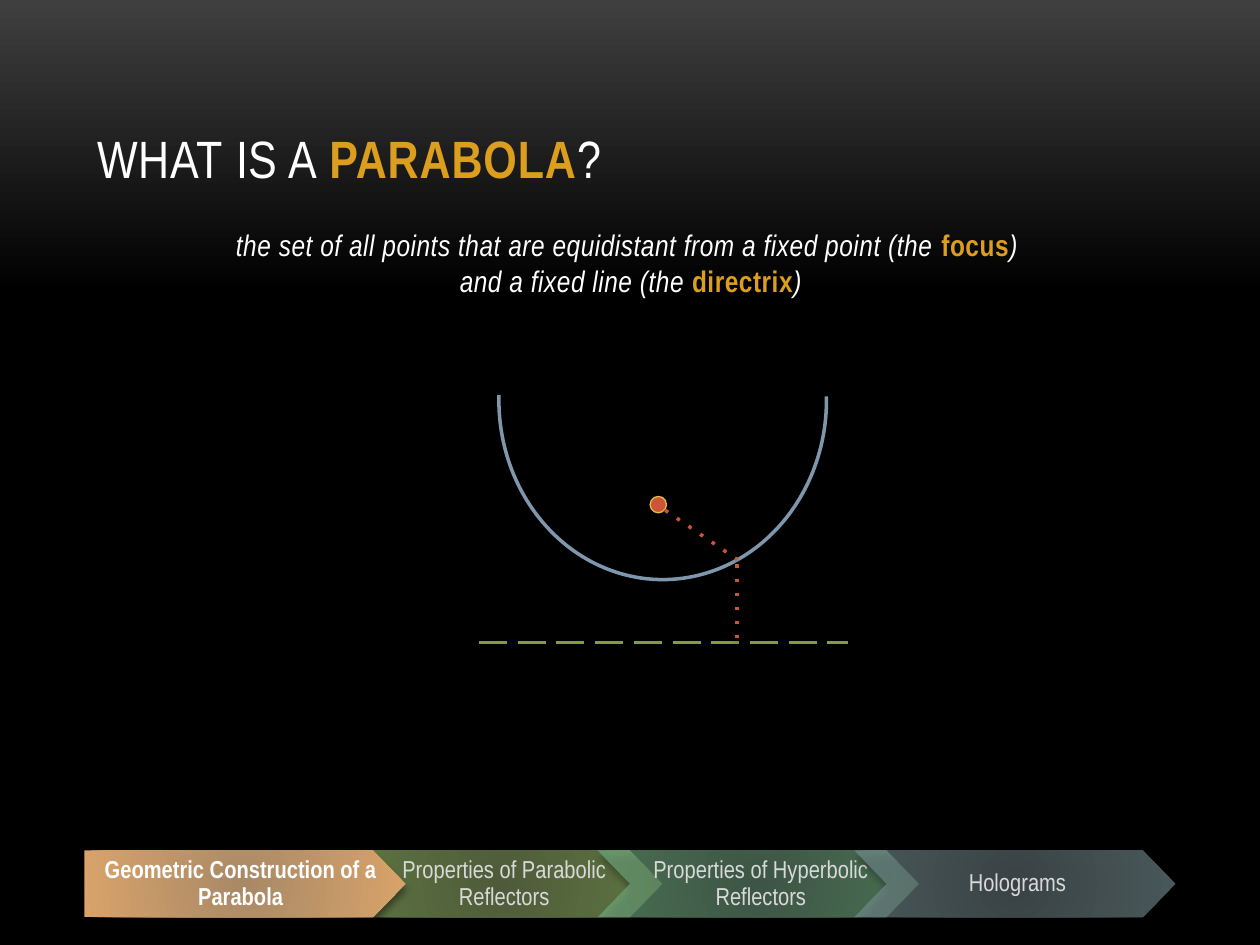
from lxml import etree
from pptx import Presentation
from pptx.dml.color import RGBColor
from pptx.enum.shapes import MSO_CONNECTOR, MSO_SHAPE
from pptx.enum.text import MSO_ANCHOR, MSO_AUTO_SIZE, PP_ALIGN
from pptx.oxml.ns import qn
from pptx.util import Inches, Pt

WHITE = RGBColor(0xFF, 0xFF, 0xFF)
LIGHT_GREY = RGBColor(0xD9, 0xD9, 0xD9)
GOLD = RGBColor(0xDC, 0x9E, 0x1F)
SLATE = RGBColor(0x7E, 0x97, 0xAD)
RED = RGBColor(0xCC, 0x54, 0x39)
YELLOW = RGBColor(0xE7, 0xBA, 0x45)
GREEN = RGBColor(0x83, 0x9C, 0x41)
BLACK = RGBColor(0, 0, 0)
CHARCOAL = RGBColor(0x3F, 0x3F, 0x3F)

# Navigation steps: label, inner colour, outer colour, opacity in percent
STEPS = [
    ("Geometric Construction of a Parabola",
     RGBColor(0xA8, 0x89, 0x66), RGBColor(0xD9, 0xA3, 0x6A), 100),
    ("Properties of Parabolic Reflectors",
     RGBColor(0x82, 0x98, 0x61), RGBColor(0xA0, 0xC6, 0x6D), 60),
    ("Properties of Hyperbolic Reflectors",
     RGBColor(0x60, 0x86, 0x6B), RGBColor(0x73, 0xAF, 0x83), 64),
    ("Holograms",
     RGBColor(0x60, 0x70, 0x73), RGBColor(0x7B, 0x93, 0x97), 60),
]
FIRST_LEFT, LAST_LEFT, STEP_TOP = 0.67, 6.78, 6.75
STEP_WIDTH, STEP_HEIGHT, POINT = 2.55, 0.53, 0.26

LINE_SHADOW = (38, 3.1, 1.6)
FOCUS_SHADOW = (35, 3.1, 1.8)
STEP_SHADOW = (40, 4, 3.4)


def assign(target, values):
    for name, value in values.items():
        setattr(target, name, value)


def child(parent, tag, **attributes):
    element = etree.SubElement(parent, qn(tag))
    for name, value in attributes.items():
        element.set(name, str(value))
    return element


def add_color(parent, color, opacity=100):
    node = child(parent, "a:srgbClr", val=color)
    if opacity < 100:
        child(node, "a:alpha", val=opacity * 1000)


def set_gradient(properties, stops, opacity=100, radial=False):
    """Replace the solid fill in properties by a gradient."""
    gradient = etree.Element(qn("a:gradFill"), rotWithShape="1")
    stop_list = child(gradient, "a:gsLst")
    for position, color in stops:
        add_color(child(stop_list, "a:gs", pos=position * 1000), color, opacity)
    if radial:
        focus = child(gradient, "a:path", path="circle")
        child(focus, "a:fillToRect", **dict.fromkeys("ltrb", 100000))
    else:
        child(gradient, "a:lin", ang=5400000, scaled=0)
    properties.replace(properties.find(qn("a:solidFill")), gradient)


def set_shadow(shape, opacity, blur, distance):
    properties = shape.element.spPr
    effects = child(properties, "a:effectLst")
    shadow = child(effects, "a:outerShdw", blurRad=Pt(blur), dist=Pt(distance),
                   dir=5400000, rotWithShape=0)
    add_color(shadow, BLACK, opacity)


def set_line(shape, color, width, dash=None):
    shape.line.color.rgb = color
    shape.line.width = Pt(width)
    if dash:
        child(shape.element.spPr.find(qn("a:ln")), "a:prstDash", val=dash)


def add_runs(paragraph, runs, size, tracking=0):
    """Write (text, format) runs; a None text breaks the line."""
    for text, values in runs:
        if text is None:
            paragraph.add_line_break()
            continue
        run = paragraph.add_run()
        run.text = text
        style = {"name": "Arial Narrow", "size": Pt(size), "bold": False,
                 "italic": False, **values}
        color = style.pop("color")
        assign(run.font, style)
        run.font.color.rgb = color
        if tracking:
            run.font._element.set("spc", str(int(tracking * 100)))


def set_spacing_percent(paragraph, tag, percent):
    spacing = child(paragraph._p.get_or_add_pPr(), tag)
    child(spacing, "a:spcPct", val=percent * 1000)


def place(shape, left, top, width, height):
    assign(shape, {"left": Inches(left), "top": Inches(top),
                   "width": Inches(width), "height": Inches(height)})


def add_title(slide):
    title = slide.shapes.title
    place(title, 0.67, 0.3, 8.67, 1.25)
    assign(title.text_frame, {"vertical_anchor": MSO_ANCHOR.BOTTOM,
                              "auto_size": MSO_AUTO_SIZE.NONE})
    paragraph = title.text_frame.paragraphs[0]
    paragraph.alignment = PP_ALIGN.LEFT
    add_runs(paragraph, [("WHAT IS A ", {"color": WHITE}),
                         ("PARABOLA", {"color": GOLD, "bold": True}),
                         ("?", {"color": WHITE})], 30, 0.5)


def add_definition(slide):
    body = slide.placeholders[1]
    place(body, 0.67, 1.75, 8.67, 4.5)
    body.text_frame.auto_size = MSO_AUTO_SIZE.NONE
    paragraph = body.text_frame.paragraphs[0]
    paragraph.alignment = PP_ALIGN.CENTER
    set_spacing_percent(paragraph, "a:spcBef", 20)
    paragraph.space_after = Pt(6)
    properties = paragraph._p.get_or_add_pPr()
    properties.set("marL", "0")
    properties.set("indent", "0")
    child(properties, "a:buNone")
    plain = {"color": WHITE, "italic": True}
    term = {"color": GOLD, "bold": True}
    add_runs(paragraph, [
        ("the set of all points that are equidistant from a fixed point (the ", plain),
        ("focus", term), (") ", plain), (None, None),
        ("and a fixed line (the ", plain), ("directrix", term), (")", plain),
    ], 17, 0.3)


def add_step(slide, index):
    label, inner, outer, opacity = STEPS[index]
    current = index == 0
    left = FIRST_LEFT + index * (LAST_LEFT - FIRST_LEFT) / (len(STEPS) - 1)
    right, bottom = left + STEP_WIDTH, STEP_TOP + STEP_HEIGHT
    middle = STEP_TOP + STEP_HEIGHT / 2
    outline = [(right - POINT, STEP_TOP), (right, middle),
               (right - POINT, bottom), (left, bottom)]
    if not current:
        outline.append((left + POINT, middle))
    builder = slide.shapes.build_freeform(Inches(left), Inches(STEP_TOP))
    builder.add_line_segments([(Inches(x), Inches(y)) for x, y in outline])
    step = builder.convert_to_shape()
    step.fill.solid()
    set_gradient(step.element.spPr, [(0, inner), (100, outer)], opacity, radial=True)
    step.line.fill.background()
    set_shadow(step, *STEP_SHADOW)
    frame = step.text_frame
    assign(frame, {"word_wrap": True, "vertical_anchor": MSO_ANCHOR.MIDDLE,
                   "margin_left": Inches(0.08 if current else 0.32),
                   "margin_right": Inches(0.15 if current else 0.28),
                   "margin_top": Inches(0.04), "margin_bottom": Inches(0.04)})
    paragraph = frame.paragraphs[0]
    assign(paragraph, {"alignment": PP_ALIGN.CENTER, "line_spacing": 0.9})
    set_spacing_percent(paragraph, "a:spcAft", 35)
    add_runs(paragraph, [(label, {"color": WHITE if current else LIGHT_GREY,
                                  "bold": current})], 14)


def add_segment(slide, start, end, color, dash):
    segment = slide.shapes.add_connector(
        MSO_CONNECTOR.STRAIGHT, *(Inches(value) for value in start + end))
    set_line(segment, color, 2, dash)
    set_shadow(segment, *LINE_SHADOW)


def add_diagram(slide):
    curve = slide.shapes.add_shape(MSO_SHAPE.ARC, 0, 0, 0, 0)
    place(curve, 3.96, 1.75, 2.6, 2.85)
    curve.adjustments[0], curve.adjustments[1] = 215.219, 109.042
    curve.fill.background()
    set_line(curve, SLATE, 2)
    set_shadow(curve, *LINE_SHADOW)

    focus = slide.shapes.add_shape(MSO_SHAPE.OVAL, 0, 0, 0, 0)
    place(focus, 5.16, 3.94, 0.13, 0.13)
    focus.fill.solid()
    focus.fill.fore_color.rgb = RED
    set_line(focus, YELLOW, 0.75)
    set_shadow(focus, *FOCUS_SHADOW)

    # Directrix, then the two equal distances
    add_segment(slide, (3.8, 5.1), (6.73, 5.1), GREEN, "lgDash")
    add_segment(slide, (5.28, 4.05), (5.85, 4.44), RED, "dot")
    add_segment(slide, (5.85, 4.48), (5.85, 5.07), RED, "dot")


def main():
    deck = Presentation()
    assign(deck, {"slide_width": Inches(10), "slide_height": Inches(7.5)})
    slide = deck.slides.add_slide(deck.slide_layouts[1])

    # Background
    slide.background.fill.solid()
    set_gradient(slide.element.find(".//" + qn("p:bgPr")),
                 [(0, CHARCOAL), (31, BLACK), (100, BLACK)])

    # Heading and definition
    add_title(slide)
    add_definition(slide)

    # Navigation bar, the current step on top
    for index in (1, 2, 3, 0):
        add_step(slide, index)

    # Parabola with focus and directrix
    add_diagram(slide)
    deck.save("out.pptx")


main()
